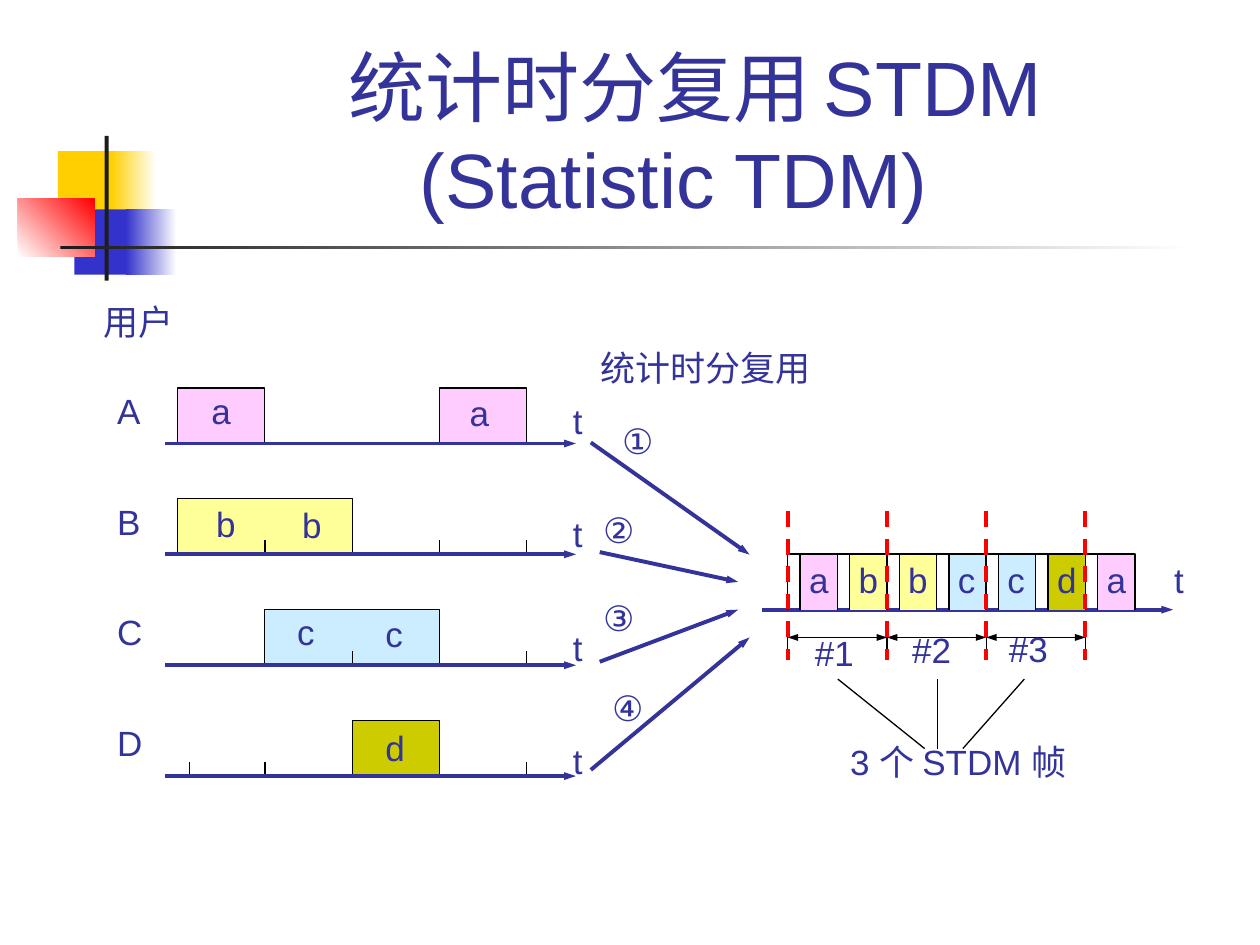
from typing import NamedTuple, Optional

from lxml import etree
from pptx import Presentation
from pptx import util as u
from pptx.dml.color import RGBColor
from pptx.enum import dml, shapes, text
from pptx.oxml.ns import qn

INK, BLACK, RED = "333399", "000000", "FF0000"
USER_COLORS = {"a": "FFCCFF", "b": "FFFF99", "c": "CCECFF", "d": "CCCC00"}

# All lengths are in centimetres.
USER_LEFT, USER_SLOT = 3.58, 1.76
FIRST_AXIS, AXIS_PITCH = 8.94, 2.235
MUX_LEFT, MUX_SLOT, MUX_GAP, MUX_AXIS = 15.88, 1.0, 0.25, 12.29
PULSE_HEIGHT, TICK = 1.12, 0.28


class Block(NamedTuple):
    left: float
    top: float
    width: float
    height: float
    start: str
    end: Optional[str] = None
    angle: float = 0


class Label(NamedTuple):
    words: str
    left: float
    top: float
    width: float = 0.91


class User(NamedTuple):
    name: str
    pulses: list[tuple[int, int]]  # first slot, number of slots
    ticks: list[float]  # in slots
    letters: list[Label]


class Line(NamedTuple):
    x1: float
    y1: float
    x2: float
    y2: float


BLOCKS = [
    Block(1.17, 3.05, 1.22, 1.32, "FFCF01"),
    Block(2.24, 3.05, 0.91, 1.32, "FFCF01", "FFFFFF"),
    Block(1.5, 4.22, 1.17, 1.32, "3333CC"),
    Block(2.54, 4.22, 1.02, 1.32, "3333CC", "FFFFFF"),
    Block(0.36, 4.01, 1.55, 1.17, "FFFFFF", RED, 45),
    Block(2.11, 2.74, 0.08, 2.92, "1C1C1C"),
    Block(1.22, 4.95, 22.86, 0.08, "1C1C1C", "FFFFFF"),
]
USERS = [
    User("A", [(0, 1), (3, 1)], [], [Label("a", 4.01, 7.72), Label("a", 9.22, 7.77)]),
    User("B", [(0, 2)], [1, 3, 4], [Label("b", 4.11, 10.01), Label("b", 5.84, 10.03)]),
    User("C", [(1, 2)], [2, 4], [Label("c", 5.74, 12.19), Label("c", 7.52, 12.22)]),
    User("D", [(2, 1)], [0.14, 1, 4], [Label("d", 7.52, 14.53)]),
]
LABELS = [
    Label("用户", 1.83, 5.94, 1.93),
    Label("统计时分复用", 11.86, 6.86, 4.75),
    Label("①", 12.29, 8.33, 1.22),
    Label("②", 11.91, 10.13, 1.22),
    Label("③", 11.91, 11.91, 1.22),
    Label("④", 12.09, 13.72, 1.22),
    Label("t", 23.42, 11.13, 0.71),
    Label("#1", 16.18, 12.6, 1.3),
    Label("#2", 18.14, 12.55, 1.3),
    Label("#3", 20.09, 12.52, 1.3),
]
INPUT_ARROWS = [
    Line(11.91, 8.92, 15.11, 11.18),
    Line(12.09, 11.13, 14.88, 11.73),
    Line(12.09, 13.34, 14.88, 12.29),
    Line(11.91, 15.52, 15.11, 12.85),
]
FRAME_POINTERS = [
    Line(16.89, 13.69, 18.64, 15.09),
    Line(18.9, 13.69, 18.9, 15.09),
    Line(20.65, 13.69, 19.41, 15.09),
]


def color(value: str) -> RGBColor:
    return RGBColor.from_string(value)


def add_block(slide, block: Block) -> None:
    shape = slide.shapes.add_shape(
        shapes.MSO_SHAPE.RECTANGLE, *(u.Cm(value) for value in block[:4]))
    shape.shadow.inherit = False
    shape.line.fill.background()
    if block.end is None:
        shape.fill.solid()
        shape.fill.fore_color.rgb = color(block.start)
        return
    shape.fill.gradient()
    shape.fill.gradient_angle = block.angle
    for stop, value in zip(shape.fill.gradient_stops, (block.start, block.end)):
        stop.color.rgb = color(value)


def add_pulse(slide, left: float, axis: float, width: float, fill: Optional[str] = None) -> None:
    """Draw a box that stands on its axis and is open at the bottom."""
    right, top = left + width, axis - PULSE_HEIGHT
    builder = slide.shapes.build_freeform(u.Cm(left), u.Cm(axis))
    corners = [(left, top), (right, top), (right, axis)]
    builder.add_line_segments([(u.Cm(x), u.Cm(y)) for x, y in corners], close=False)
    shape = builder.convert_to_shape()
    shape.shadow.inherit = False
    shape.line.color.rgb = color(BLACK)
    shape.line.width = u.Pt(0.75)
    if fill is None:
        shape.fill.background()
    else:
        shape.fill.solid()
        shape.fill.fore_color.rgb = color(fill)


def add_line(slide, line: Line, ink: str = BLACK, width: float = 0.75,
             arrows: tuple[str, ...] = (), dashed: bool = False) -> None:
    connector = slide.shapes.add_connector(
        shapes.MSO_CONNECTOR.STRAIGHT, *(u.Cm(value) for value in line))
    connector.line.color.rgb = color(ink)
    connector.line.width = u.Pt(width)
    if dashed:
        connector.line.dash_style = dml.MSO_LINE.DASH
    properties = connector._element.spPr
    for end in arrows:
        etree.SubElement(properties.find(qn("a:ln")), qn(f"a:{end}"),
                         type="triangle", w="sm", len="med")
    etree.SubElement(properties, qn("a:effectLst"))


def add_thick_arrow(slide, line: Line) -> None:
    add_line(slide, line, INK, 2.25, ("tailEnd",))


def add_tick(slide, x: float, bottom: float, height: float = TICK) -> None:
    add_line(slide, Line(x, bottom - height, x, bottom))


def add_run(paragraph, words: str, size: float) -> None:
    run = paragraph.add_run()
    run.text = words
    run.font.name = "Arial"
    run.font.size = u.Pt(size)
    run.font.color.rgb = color(INK)


def add_label(slide, label: Label, wrap: bool = False) -> None:
    shape = slide.shapes.add_textbox(
        u.Cm(label.left), u.Cm(label.top), u.Cm(label.width), u.Cm(1.1))
    frame = shape.text_frame
    frame.word_wrap = wrap
    frame.auto_size = text.MSO_AUTO_SIZE.SHAPE_TO_FIT_TEXT
    add_run(frame.paragraphs[0], label.words, 20)


def add_title(slide) -> None:
    frame = slide.shapes.add_textbox(u.Cm(3.2), u.Cm(0.58), u.Cm(21.64), u.Cm(4.06)).text_frame
    frame.word_wrap = True
    frame.vertical_anchor = text.MSO_ANCHOR.BOTTOM
    first, second = frame.paragraphs[0], frame.add_paragraph()
    for paragraph in (first, second):
        paragraph.alignment = text.PP_ALIGN.CENTER
    second._p.get_or_add_pPr().set("marR", str(u.Cm(0.87)))
    for words, size in (("统计时分复用", 44), (" ", 32), ("STDM", 44)):
        add_run(first, words, size)
    add_run(second, "(Statistic TDM)", 44)


def add_users(slide) -> None:
    for row, user in enumerate(USERS):
        axis = FIRST_AXIS + row * AXIS_PITCH
        for slot, count in user.pulses:
            add_pulse(slide, USER_LEFT + slot * USER_SLOT, axis, count * USER_SLOT,
                      USER_COLORS[user.name.lower()])
        for slot in user.ticks:
            add_tick(slide, USER_LEFT + slot * USER_SLOT, axis)
        add_thick_arrow(slide, Line(3.33, axis, 11.61, axis))
        names = [Label(user.name, 2.11, axis - 1.22, 1.0),
                 Label("t", 11.3, 7.92 + row * 2.29, 0.71)]
        for label in names + user.letters:
            add_label(slide, label)


def add_multiplexed_stream(slide) -> None:
    add_thick_arrow(slide, Line(15.37, MUX_AXIS, 23.65, MUX_AXIS))
    for slot, letter in enumerate("abbccda"):
        left = MUX_LEFT + slot * MUX_SLOT
        add_pulse(slide, left + MUX_GAP, MUX_AXIS, MUX_SLOT - MUX_GAP, USER_COLORS[letter])
        add_pulse(slide, left, MUX_AXIS, MUX_GAP)
        add_label(slide, Label(letter, left + 0.18, 11.13))
    for x in (18.13, 18.88, 21.88):
        add_tick(slide, x, MUX_AXIS)
    borders = [MUX_LEFT + 2 * frame * MUX_SLOT for frame in range(4)]
    for x in borders:
        add_tick(slide, x, 13.13, 2 * TICK)
    for left, right in zip(borders, borders[1:]):
        add_line(slide, Line(left, 12.85, right, 12.85), arrows=("headEnd", "tailEnd"))
    for x in borders:
        add_line(slide, Line(x, 10.31, x, 13.31), RED, 2.25, dashed=True)


def main() -> None:
    presentation = Presentation()
    presentation.slide_width, presentation.slide_height = u.Cm(25.4), u.Cm(19.05)
    slide = presentation.slides.add_slide(presentation.slide_layouts[6])
    for block in BLOCKS:
        add_block(slide, block)
    add_title(slide)
    add_users(slide)
    for line in INPUT_ARROWS:
        add_thick_arrow(slide, line)
    add_multiplexed_stream(slide)
    for line in FRAME_POINTERS:
        add_line(slide, line)
    for label in LABELS:
        add_label(slide, label)
    add_label(slide, Label("3 个 STDM 帧", 16.89, 14.81, 4.9), wrap=True)
    presentation.save("out.pptx")


if __name__ == "__main__":
    main()
